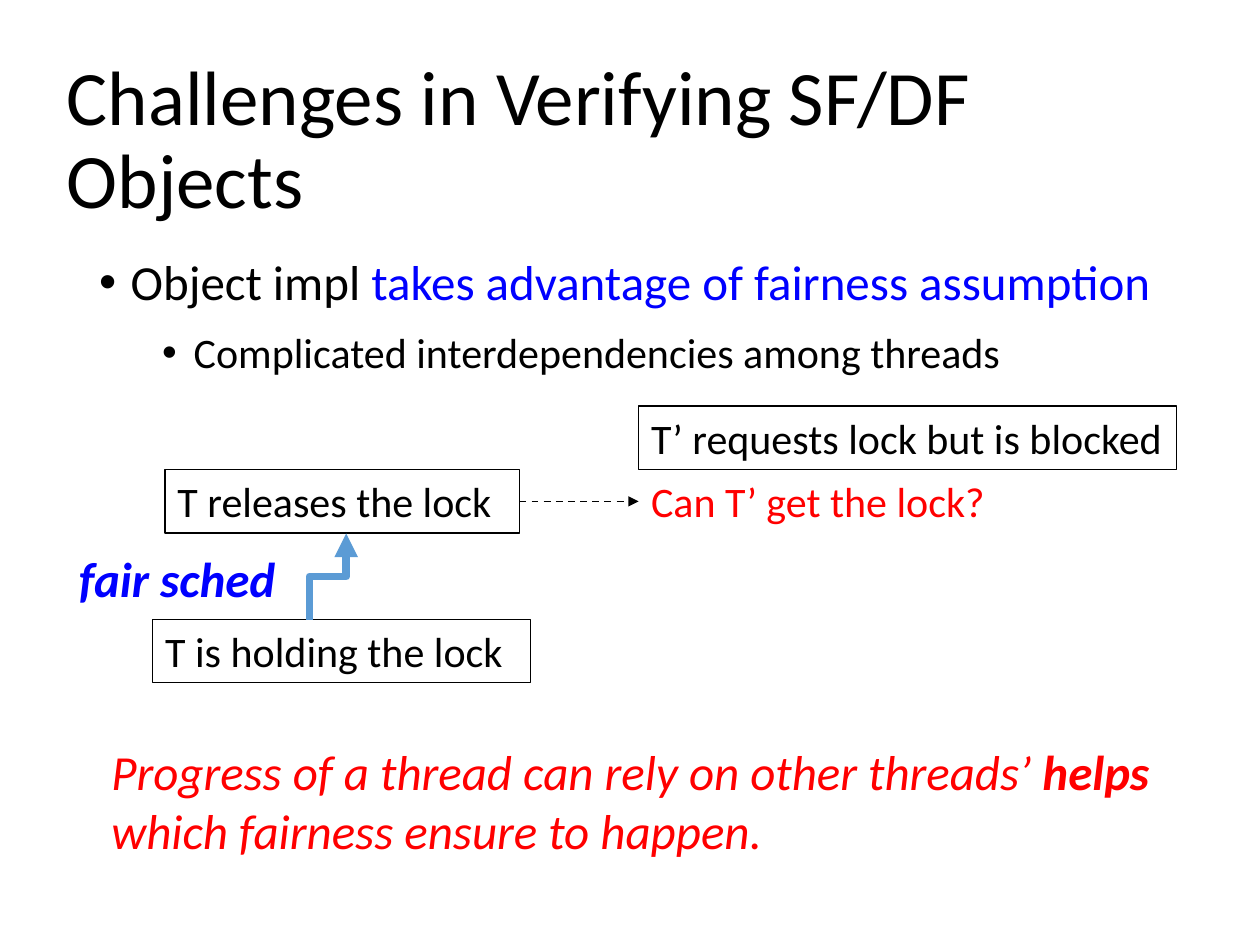
from lxml.etree import SubElement
from pptx import Presentation
from pptx.dml.color import RGBColor
from pptx.enum.dml import MSO_LINE
from pptx.enum.shapes import MSO_CONNECTOR, MSO_SHAPE
from pptx.enum.text import MSO_ANCHOR, PP_ALIGN
from pptx.oxml.ns import qn
from pptx.util import Pt

BLACK, BLUE, RED, STEEL = "000000", "0000FF", "FF0000", "5B9BD5"


def tint(code):
    return RGBColor.from_string(code)


def place(shape, box):
    for name, value in zip(("left", "top", "width", "height"), box):
        setattr(shape, name, Pt(value))


def write(para, text, size, color=BLACK, **style):
    run = para.add_run()
    run.text = text
    run.font.color.rgb = tint(color)
    for name, value in {"name": "Calibri", "size": Pt(size), **style}.items():
        setattr(run.font, name, value)


def bullet(para, level, left, before):
    para.level = level
    para.line_spacing = 0.9
    para.space_before = Pt(before)
    props = para._p.get_or_add_pPr()
    props.set("marL", str(Pt(left)))
    props.set("indent", str(Pt(-18)))
    SubElement(props, qn("a:buFont"), typeface="Arial")
    SubElement(props, qn("a:buChar"), char="•")


def heading(slide, box):
    title = slide.shapes.title
    place(title, box)
    frame = title.text_frame
    frame.vertical_anchor = MSO_ANCHOR.MIDDLE
    para = frame.paragraphs[0]
    para.alignment = PP_ALIGN.LEFT
    para.line_spacing = 0.9
    write(para, "Challenges in Verifying SF/DF Objects", 44)


def points(slide, box):
    body = slide.placeholders[1]
    place(body, box)
    frame = body.text_frame
    para = frame.paragraphs[0]
    bullet(para, 0, 18, 10)
    write(para, "Object impl ", 28)
    write(para, "takes advantage of fairness assumption", 28, BLUE)
    para = frame.add_paragraph()
    bullet(para, 1, 54, 12)
    write(para, "Complicated interdependencies among threads", 24)


def label(slide, box, text, size=24, color=BLACK, **style):
    shape = slide.shapes.add_textbox(*map(Pt, box))
    shape.text_frame.word_wrap = True
    write(shape.text_frame.paragraphs[0], text, size, color, **style)
    return shape


def state(slide, box, text):
    shape = slide.shapes.add_shape(MSO_SHAPE.RECTANGLE, *map(Pt, box))
    shape.shadow.inherit = False
    shape.fill.background()
    shape.line.color.rgb = tint(BLACK)
    shape.line.width = Pt(0.75)
    frame = shape.text_frame
    frame.word_wrap = True
    frame.vertical_anchor = MSO_ANCHOR.TOP
    para = frame.paragraphs[0]
    para.alignment = PP_ALIGN.LEFT
    write(para, text, 24)
    return shape


def arrow(slide, kind, ends, color, width, dash=None):
    link = slide.shapes.add_connector(kind, *map(Pt, ends))
    link.line.color.rgb = tint(color)
    link.line.width = Pt(width)
    if dash:
        link.line.dash_style = dash
    SubElement(link.line._get_or_add_ln(), qn("a:tailEnd"), type="triangle")
    SubElement(link._element.spPr, qn("a:effectLst"))
    return link


def diagram(slide, left, top):
    def at(x, y, wide, high=36.35):
        return left + x, top + y, wide, high

    state(slide, at(327, 0, 307.5), "T’ requests lock but is blocked")
    free = state(slide, at(56.3, 36.35, 202.5), "T releases the lock")
    state(slide, at(49.3, 121.9, 216), "T is holding the lock")
    label(slide, at(0, 78, 128, 41), "fair sched", 28, BLUE, bold=True, italic=True)
    ask = label(slide, at(327, 36.35, 205), "Can T’ get the lock?", color=RED)

    x, y, wide, high = at(124.7, 87, 49.2, 21)
    step = arrow(slide, MSO_CONNECTOR.ELBOW, (x + wide, y + high, x, y), STEEL, 4.5)
    step._element.spPr.xfrm.set("rot", str(90 * 60000))

    ask_link = arrow(slide, MSO_CONNECTOR.STRAIGHT, (0, 0, 1, 1), BLACK, 1, MSO_LINE.DASH)
    ask_link.begin_connect(free, 3)
    ask_link.end_connect(ask, 1)


def summary(slide, box):
    note = label(slide, box, "Progress of a thread can rely on other threads’ ", 28, RED, italic=True)
    frame = note.text_frame
    write(frame.paragraphs[0], "helps", 28, RED, bold=True, italic=True)
    write(frame.add_paragraph(), "which fairness ensure to happen.", 28, RED, italic=True)


def main():
    deck = Presentation()
    deck.slide_width, deck.slide_height = Pt(720), Pt(540)
    slide = deck.slides.add_slide(deck.slide_layouts[1])
    heading(slide, (31, 28.8, 668, 104.4))
    points(slide, (49.5, 144, 621, 342.7))
    diagram(slide, 38, 232)
    summary(slide, (56.5, 420, 614, 75))
    deck.save("out.pptx")


if __name__ == "__main__":
    main()
